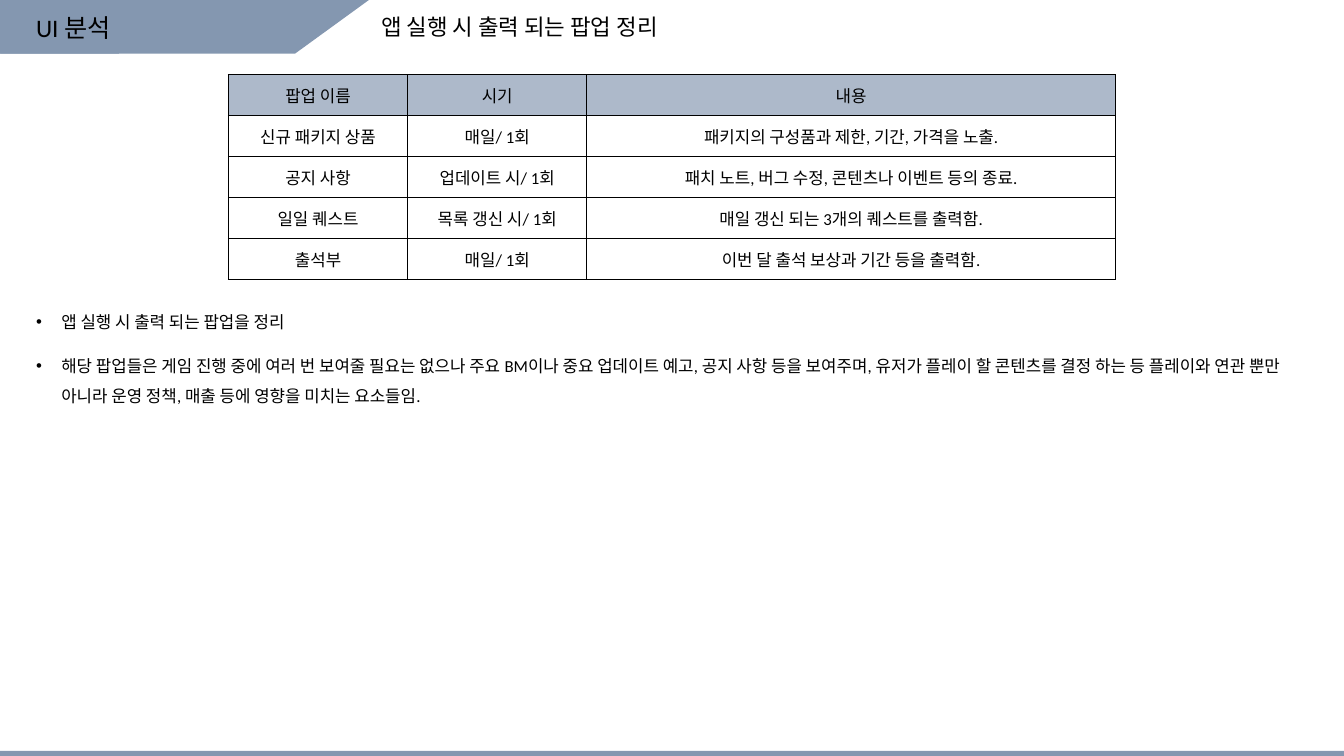
from dataclasses import dataclass

from lxml import etree
from pptx import Presentation
from pptx.dml.color import RGBColor
from pptx.enum.shapes import MSO_SHAPE
from pptx.enum.text import MSO_ANCHOR, PP_ALIGN
from pptx.oxml.ns import qn
from pptx.util import Pt

MIDDLE = MSO_ANCHOR.MIDDLE
LEFT, CENTER = PP_ALIGN.LEFT, PP_ALIGN.CENTER
RECTANGLE = MSO_SHAPE.RECTANGLE
PARALLELOGRAM = MSO_SHAPE.FLOWCHART_DATA

SECTION = "UI 분석"
TITLE = "앱 실행 시 출력 되는 팝업 정리"
POPUPS = [
    ("팝업 이름", "시기", "내용"),
    ("신규 패키지 상품", "매일/ 1회", "패키지의 구성품과 제한, 기간, 가격을 노출."),
    ("공지 사항", "업데이트 시/ 1회", "패치 노트, 버그 수정, 콘텐츠나 이벤트 등의 종료."),
    ("일일 퀘스트", "목록 갱신 시/ 1회", "매일 갱신 되는 3개의 퀘스트를 출력함."),
    ("출석부", "매일/ 1회", "이번 달 출석 보상과 기간 등을 출력함."),
]
NOTES = [
    "앱 실행 시 출력 되는 팝업을 정리",
    "해당 팝업들은 게임 진행 중에 여러 번 보여줄 필요는 없으나 주요 BM이나 중요 업데이트 예고, "
    "공지 사항 등을 보여주며, 유저가 플레이 할 콘텐츠를 결정 하는 등 플레이와 연관 뿐만 아니라 "
    "운영 정책, 매출 등에 영향을 미치는 요소들임.",
]


@dataclass(frozen=True)
class Theme:
    font: str = "Calibri"
    text: RGBColor = RGBColor(0, 0, 0)
    band: RGBColor = RGBColor(0x84, 0x97, 0xB0)
    header: RGBColor = RGBColor(0xAD, 0xB9, 0xCA)
    cell: RGBColor = RGBColor(255, 255, 255)
    section_size: int = 18
    title_size: int = 16
    body_size: int = 12


THEME = Theme()
WIDTH, HEIGHT = 960, 540
BAND_HEIGHT = 38.3
FOOTER_HEIGHT = 3.6
MARGIN = 18.7
TITLE_LEFT = 265
COLUMN_WIDTHS = (128, 128, 377.6)
ROW_HEIGHT = 29.25
TABLE_TOP = 53.3
NOTES_TOP = 211.7
INDENT = 18


def style(paragraph, size, alignment=LEFT):
    paragraph.alignment = alignment
    paragraph.font.name = THEME.font
    paragraph.font.size = Pt(size)
    paragraph.font.color.rgb = THEME.text


def add_band(slide, kind, top, width, height):
    shape = slide.shapes.add_shape(kind, 0, Pt(top), Pt(width), Pt(height))
    shape.shadow.inherit = False
    shape.fill.solid()
    shape.fill.fore_color.rgb = THEME.band
    shape.line.fill.background()


def add_text_box(slide, left, top, width, height):
    frame = slide.shapes.add_textbox(Pt(left), Pt(top), Pt(width), Pt(height)).text_frame
    frame.word_wrap = True
    return frame


def add_title(slide):
    title = slide.shapes.title
    title.left, title.top = Pt(TITLE_LEFT), 0
    title.width, title.height = Pt(WIDTH - TITLE_LEFT), Pt(40.3)
    title.text_frame.text = TITLE
    title.text_frame.vertical_anchor = MIDDLE
    paragraph = title.text_frame.paragraphs[0]
    paragraph.line_spacing = 0.9
    style(paragraph, THEME.title_size)


def add_borders(cell):
    """Give the cell a 1 pt line on all sides, placed before its fill."""
    properties = cell._tc.get_or_add_tcPr()
    for position, side in enumerate(("lnL", "lnR", "lnT", "lnB")):
        line = etree.Element(qn(f"a:{side}"), w=str(Pt(1)))
        fill = etree.SubElement(line, qn("a:solidFill"))
        etree.SubElement(fill, qn("a:srgbClr"), val=str(THEME.text))
        properties.insert(position, line)


def add_popup_table(slide):
    width = sum(COLUMN_WIDTHS)
    table = slide.shapes.add_table(
        len(POPUPS), len(COLUMN_WIDTHS), Pt((WIDTH - width) / 2), Pt(TABLE_TOP),
        Pt(width), Pt(ROW_HEIGHT * len(POPUPS))).table
    for column, column_width in zip(table.columns, COLUMN_WIDTHS):
        column.width = Pt(column_width)
    for row_index, texts in enumerate(POPUPS):
        table.rows[row_index].height = Pt(ROW_HEIGHT)
        for column_index, text in enumerate(texts):
            cell = table.cell(row_index, column_index)
            cell.text = text
            cell.vertical_anchor = MIDDLE
            cell.fill.solid()
            cell.fill.fore_color.rgb = THEME.cell if row_index else THEME.header
            add_borders(cell)
            style(cell.text_frame.paragraphs[0], THEME.body_size, CENTER)


def add_notes(slide):
    frame = add_text_box(slide, MARGIN, NOTES_TOP, 923, 322.6)
    frame.text = "\n".join(NOTES)
    for index, paragraph in enumerate(frame.paragraphs):
        properties = paragraph._p.get_or_add_pPr()
        properties.set("marL", str(Pt(INDENT)))
        properties.set("indent", str(-Pt(INDENT)))
        etree.SubElement(properties, qn("a:buFont"), typeface="Arial")
        etree.SubElement(properties, qn("a:buChar"), char="•")
        paragraph.line_spacing = 1.5
        paragraph.space_before = Pt(10 if index else 0)
        style(paragraph, THEME.body_size)


def main():
    presentation = Presentation()
    presentation.slide_width, presentation.slide_height = Pt(WIDTH), Pt(HEIGHT)
    slide = presentation.slides.add_slide(presentation.slide_layouts[5])
    add_band(slide, PARALLELOGRAM, 0, 263.5, BAND_HEIGHT)
    add_band(slide, RECTANGLE, 0, 85, BAND_HEIGHT)
    add_band(slide, RECTANGLE, HEIGHT - FOOTER_HEIGHT, WIDTH, FOOTER_HEIGHT)
    section = add_text_box(slide, MARGIN, 5.5, 188, 29)
    section.text = SECTION
    style(section.paragraphs[0], THEME.section_size)
    add_title(slide)
    add_notes(slide)
    add_popup_table(slide)
    presentation.save("out.pptx")


if __name__ == "__main__":
    main()
